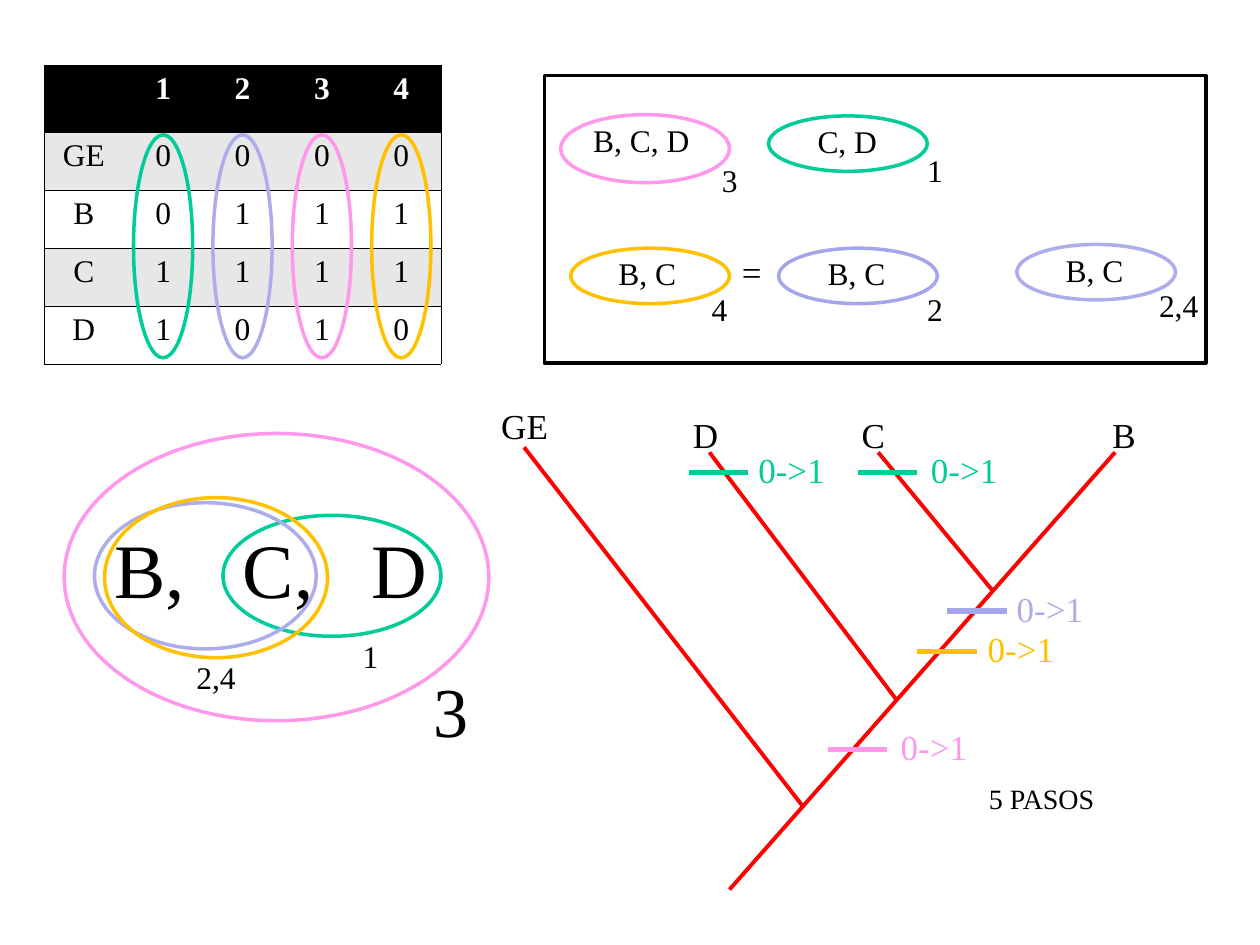
import pptx
import pptx.util
import pptx.dml.color
import pptx.enum.shapes
import pptx.enum.text
import pptx.oxml
import pptx.oxml.ns
from lxml import etree

Inches, Pt = pptx.util.Inches, pptx.util.Pt
RGBColor = pptx.dml.color.RGBColor
MSO = pptx.enum.shapes.MSO_SHAPE

BLACK = RGBColor(0x00, 0x00, 0x00)
WHITE = RGBColor(0xFF, 0xFF, 0xFF)
GRAY = RGBColor(0xE7, 0xE7, 0xE7)
RED = RGBColor(0xFF, 0x00, 0x00)
GREEN = RGBColor(0x00, 0xCC, 0x99)
LILAC = RGBColor(0xAD, 0xAD, 0xEB)
VIOLET = RGBColor(0xA5, 0xA5, 0xE9)
PINK = RGBColor(0xFF, 0x98, 0xEC)
GOLD = RGBColor(0xFF, 0xC0, 0x00)
FACE = "Times New Roman"

deck = pptx.Presentation()
deck.slide_width, deck.slide_height = Inches(10), Inches(7.5)
slide = deck.slides.add_slide(deck.slide_layouts[6])
shapes = slide.shapes


def label(text, left, top, width, height, size=18, color=BLACK):
    box = shapes.add_textbox(*map(Inches, (left, top, width, height)))
    box.text_frame.word_wrap = False
    para = box.text_frame.paragraphs[0]
    para.text = text
    look = {"name": FACE, "size": Pt(size)}
    for key, value in look.items():
        setattr(para.font, key, value)
    para.font.color.rgb = color
    return para


def outline(kind, color, left, top, width, height, fill=None):
    """Add a shape with a 2 pt line, hollow unless a fill is given."""
    shape = shapes.add_shape(kind, *map(Inches, (left, top, width, height)))
    shape.shadow.inherit = False
    shape.line.color.rgb = color
    shape.line.width = Pt(2)
    if fill is None:
        shape.fill.background()
    else:
        shape.fill.solid()
        shape.fill.fore_color.rgb = fill


# Character matrix
rows = [
    ["", "1", "2", "3", "4"],
    ["GE", "0", "0", "0", "0"],
    ["B", "0", "1", "1", "1"],
    ["C", "1", "1", "1", "1"],
    ["D", "1", "0", "1", "0"],
]
table = shapes.add_table(5, 5, Inches(0.35), Inches(0.52), Inches(3.15), Inches(2.36)).table
for col in table.columns:
    col.width = Inches(0.63)
for r, row in enumerate(rows):
    head = r == 0
    table.rows[r].height = Inches(0.53 if head else 0.46)
    for c, text in enumerate(row):
        cell = table.cell(r, c)
        cell.fill.solid()
        cell.fill.fore_color.rgb = BLACK if head else GRAY if r % 2 else WHITE
        para = cell.text_frame.paragraphs[0]
        para.text = text
        para.alignment = pptx.enum.text.PP_ALIGN.CENTER
        look = {"name": FACE, "size": Pt(18), "bold": head}
        for key, value in look.items():
            setattr(para.font, key, value)
        para.font.color.rgb = WHITE if head else BLACK
        drawn = {"lnL": c == 0, "lnR": c == 4, "lnT": True, "lnB": True}
        for i, (side, shown) in enumerate(drawn.items()):
            edge = etree.Element(pptx.oxml.ns.qn("a:" + side), w=str(Pt(0.45)))
            paint = etree.SubElement(edge, pptx.oxml.ns.qn("a:solidFill" if shown else "a:noFill"))
            if shown:
                etree.SubElement(paint, pptx.oxml.ns.qn("a:srgbClr"), val=str(BLACK))
            cell._tc.get_or_add_tcPr().insert(i, edge)

for i, color in enumerate([GREEN, LILAC, PINK, GOLD]):
    outline(MSO.OVAL, color, 1.06 + 0.63 * i, 1.07, 0.47, 1.77)

# Groups found by each character
outline(MSO.RECTANGLE, BLACK, 4.32, 0.6, 5.25, 2.28, WHITE)
outline(MSO.OVAL, PINK, 4.45, 0.91, 1.34, 0.54, WHITE)
for color, left, top in [(GREEN, 6.1, 0.92), (GOLD, 4.53, 1.97),
                         (VIOLET, 6.18, 1.97), (LILAC, 8.07, 1.94)]:
    outline(MSO.OVAL, color, left, top, 1.26, 0.44, WHITE)

for text, left, top, width in [
    ("B, C, D", 4.61, 0.91, 1.05), ("C, D", 6.39, 0.92, 0.7),
    ("B, C", 4.81, 1.97, 0.7), ("B, C", 6.47, 1.97, 0.7), ("B, C", 8.36, 1.94, 0.7),
    ("3", 5.63, 1.23, 0.32), ("1", 7.26, 1.15, 0.32),
    ("4", 5.55, 2.25, 0.32), ("2", 7.26, 2.25, 0.32), ("2,4", 9.1, 2.22, 0.51),
]:
    label(text, left, top, width, 0.4)
label("=", 5.79, 1.94, 0.35, 0.44, 20)

# Cladogram: branches, then a bar for each step
steps = [
    (GREEN, GREEN, 5.47, 3.75, 5.92), (GREEN, GREEN, 6.81, 3.75, 7.29),
    (VIOLET, LILAC, 7.52, 4.85, 7.97), (GOLD, GOLD, 7.28, 5.17, 7.74),
    (PINK, PINK, 6.57, 5.95, 7.05),
]
lines = [(RED, 2.25, *ends) for ends in [
    (8.85, 3.59, 5.79, 7.06), (6.38, 6.41, 4.16, 3.55),
    (7.12, 5.56, 5.63, 3.59), (7.88, 4.69, 6.97, 3.59),
]]
lines += [(bar, 3, left, y, left + 0.47, y) for bar, _, left, y, _ in steps]
for color, width, *ends in lines:
    line = shapes.add_connector(pptx.enum.shapes.MSO_CONNECTOR.STRAIGHT, *map(Inches, ends))
    line.line.color.rgb = color
    line.line.width = Pt(width)
    etree.SubElement(line._element.spPr, pptx.oxml.ns.qn("a:effectLst"))

for _, color, _, y, left in steps:
    label("0->1", left, y - 0.24, 0.73, 0.44, 20, color)
for text, left, top, width in [("GE", 3.88, 3.16, 0.57), ("D", 5.4, 3.23, 0.4),
                               ("C", 6.74, 3.23, 0.38), ("B", 8.73, 3.23, 0.38)]:
    label(text, left, top, width, 0.44, 20)
label("5 PASOS", 7.75, 6.15, 1.05, 0.37, 16)

# Nested sets
outline(MSO.OVAL, PINK, 0.51, 3.44, 3.37, 2.28, WHITE)
taxa = label("B,\tC,\tD", 0.81, 4.09, 2.68, 0.84, 44)
tabs = etree.Element(pptx.oxml.ns.qn("a:tabLst"))
for stop in (1.02, 2.04):
    etree.SubElement(tabs, pptx.oxml.ns.qn("a:tab"), pos=str(Inches(stop)), algn="l")
taxa._p.get_or_add_pPr().insert(0, tabs)
outline(MSO.OVAL, GREEN, 1.77, 4.09, 1.73, 0.96)
outline(MSO.OVAL, LILAC, 0.75, 3.99, 1.76, 1.16)
outline(MSO.OVAL, GOLD, 0.83, 3.95, 1.77, 1.27)
label("3", 3.34, 5.25, 0.48, 0.77, 40)
label("2,4", 1.46, 5.17, 0.51, 0.4)
label("1", 2.78, 5.01, 0.32, 0.4)

deck.save("out.pptx")
